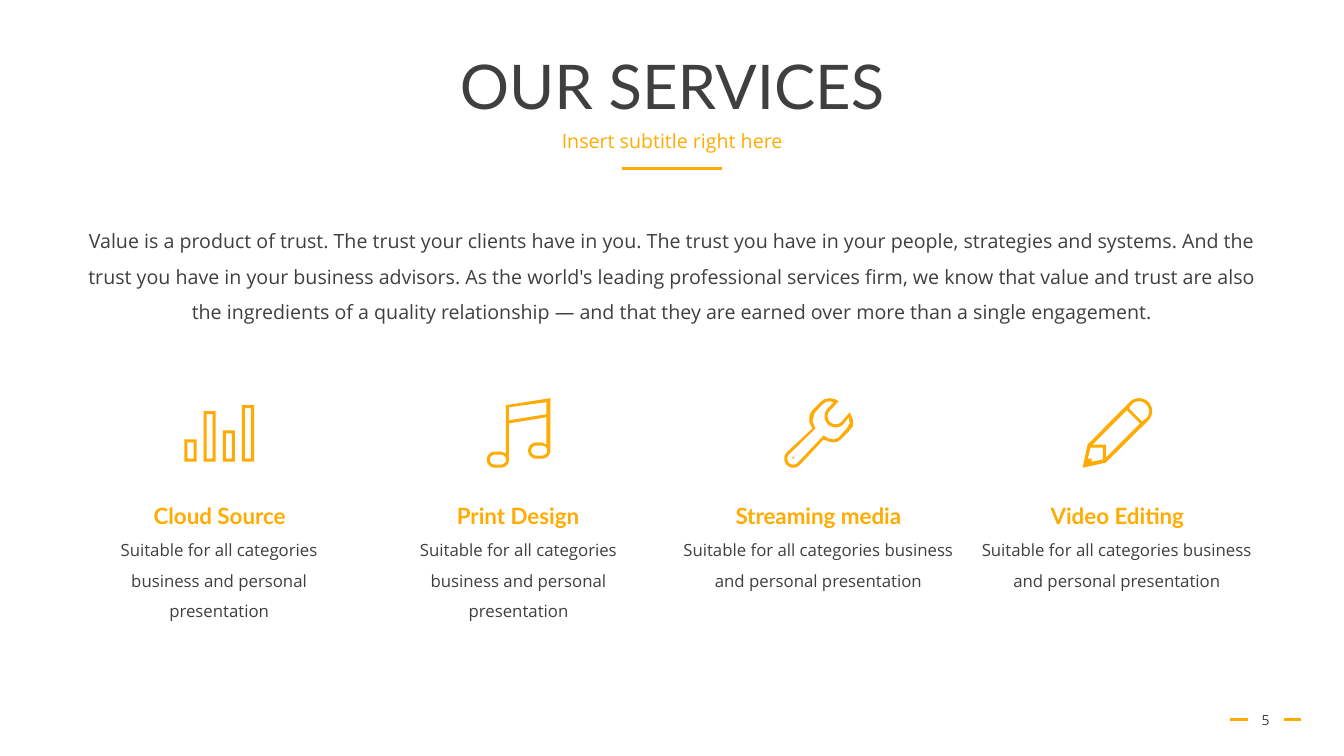
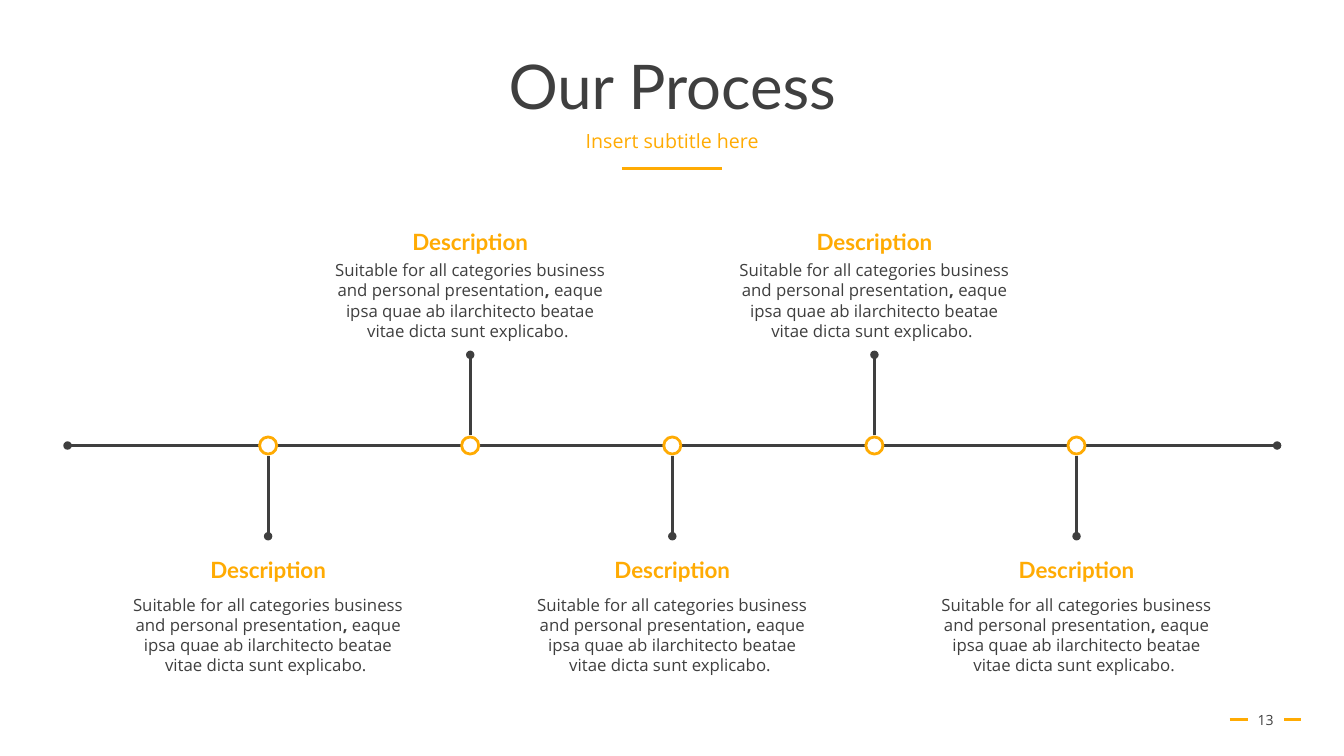
"""Build the services and process slides."""
from dataclasses import dataclass
from math import cos, radians, sin

from lxml import etree
from pptx import Presentation
from pptx.dml.color import RGBColor
from pptx.enum.shapes import MSO_CONNECTOR, MSO_SHAPE
from pptx.enum.text import MSO_ANCHOR, PP_ALIGN
from pptx.oxml.ns import qn
from pptx.slide import Slide
from pptx.text.text import Font
from pptx.util import Inches, Pt

STRAIGHT = MSO_CONNECTOR.STRAIGHT
OVAL = MSO_SHAPE.OVAL
TOP = MSO_ANCHOR.TOP
MIDDLE = MSO_ANCHOR.MIDDLE
CENTER = PP_ALIGN.CENTER
COLORS = {"gold": "FFAB03", "dark": "3F3F3F", "white": "FFFFFF"}

Point = tuple[float, float]
Path = list[Point]
Box = tuple[float, float, float, float]


@dataclass(frozen=True)
class Style:
    face: str
    size: float
    color: str
    bold: bool = False
    space: float = 1.0
    before: float = 0
    anchor: MSO_ANCHOR = TOP


@dataclass(frozen=True)
class Service:
    name: str
    left: float
    width: float
    text_left: float
    text_width: float
    icon: list[Path]


TITLE = Style("Lato", 44, "dark", space=0.9, anchor=MIDDLE)
SUBTITLE = Style("Open Sans", 14, "gold", space=0.9, before=10)
NUMBER = Style("Open Sans", 10, "dark", anchor=MIDDLE)
HEAD = Style("Lato", 16, "gold", bold=True)
INTRO = Style("Open Sans", 14, "dark", space=1.5)
BODY = Style("Open Sans", 12, "dark", space=1.5)
NOTE = Style("Open Sans", 12, "dark")


def rgb(name: str) -> RGBColor:
    return RGBColor.from_string(COLORS[name])


def set_font(font: Font, style: Style) -> None:
    font.name = style.face
    font.size = Pt(style.size)
    font.bold = style.bold
    font.color.rgb = rgb(style.color)


def add_text(slide: Slide, box: Box, runs: list[str], style: Style,
             wrap: bool = True) -> None:
    frame = slide.shapes.add_textbox(*map(Inches, box)).text_frame
    frame.word_wrap = wrap
    frame.vertical_anchor = style.anchor
    para = frame.paragraphs[0]
    para.alignment = CENTER
    para.line_spacing = style.space
    para.space_before = Pt(style.before)
    set_font(para.font, style)
    for words in runs:
        run = para.add_run()
        run.text = words
        if words == ",":
            run.font.bold = True


def add_line(slide: Slide, start: Point, end: Point, color: str,
             width: float, ends: tuple[str, ...] = ()) -> None:
    line = slide.shapes.add_connector(STRAIGHT, *map(Inches, start + end))
    line.line.color.rgb = rgb(color)
    line.line.width = Pt(width)
    props = line.element.spPr
    for tag in ends:
        etree.SubElement(props.find(qn("a:ln")), qn(tag), type="oval")
    etree.SubElement(props, qn("a:effectLst"))


def add_icon(slide: Slide, paths: list[Path]) -> None:
    first, *rest = [[(Inches(x), Inches(y)) for x, y in path]
                    for path in paths]
    pen = slide.shapes.build_freeform(*first[0])
    pen.add_line_segments(first[1:], close=True)
    for path in rest:
        pen.move_to(*path[0])
        pen.add_line_segments(path[1:], close=True)
    shape = pen.convert_to_shape()
    shape.shadow.inherit = False
    shape.fill.solid()
    shape.fill.fore_color.rgb = rgb("gold")
    shape.line.fill.background()


def arc(x: float, y: float, radius: float, start: float, end: float) -> Path:
    steps = 16
    turns = [radians(start + (end - start) * i / steps)
             for i in range(steps + 1)]
    return [(x + radius * cos(t), y + radius * sin(t)) for t in turns]


def pill(left: float, right: float, y: float, radius: float) -> Path:
    return arc(left, y, radius, 270, 90) + arc(right, y, radius, 90, -90)


def rect(left: float, top: float, right: float, bottom: float) -> Path:
    return [(left, top), (right, top), (right, bottom), (left, bottom)]


def bars() -> list[Path]:
    paths = []
    wall = 0.03
    for i, top in enumerate((4.36, 4.08, 4.27, 4.02)):
        left = 1.83 + 0.19 * i
        right = left + 0.12
        paths.append(rect(left, top, right, 4.58))
        paths.append(rect(left + wall, top + wall, right - wall, 4.58 - wall))
    return paths


def music() -> list[Path]:
    outer = [(5.46, 3.95), (5.02, 4.02), (5.02, 4.5), (4.97, 4.48),
             *arc(4.91, 4.56, 0.08, 270, 90),
             *arc(4.97, 4.56, 0.08, 90, 0),
             (5.05, 4.2), (5.42, 4.14), (5.42, 4.41), (5.38, 4.39),
             *arc(5.32, 4.47, 0.08, 270, 90),
             *arc(5.38, 4.47, 0.08, 90, 0)]
    flag = [(5.42, 4.11), (5.05, 4.17), (5.05, 4.04), (5.42, 3.99)]
    return [outer, flag, pill(4.91, 4.97, 4.56, 0.05),
            pill(5.32, 5.38, 4.47, 0.05)]


def wrench() -> list[Path]:
    outer = [(8.43, 4.09), (8.46, 4.16), (8.46, 4.23), (8.42, 4.28),
             (8.34, 4.36), (8.31, 4.38), (8.27, 4.39), (8.22, 4.38),
             (8.17, 4.36), *arc(7.87, 4.55, 0.09, 45, 230),
             (8.06, 4.25), (8.03, 4.19), (8.03, 4.12), (8.06, 4.07),
             (8.14, 3.99), (8.18, 3.96), (8.23, 3.95), (8.28, 3.96),
             (8.32, 3.98), *arc(8.29, 4.13, 0.08, 225, 45)]
    inner = [(8.27, 3.99), *arc(8.29, 4.13, 0.11, 225, 45),
             (8.42, 4.14), (8.43, 4.2), (8.4, 4.25), (8.32, 4.34),
             (8.27, 4.36), (8.22, 4.35), (8.17, 4.32),
             *arc(7.87, 4.55, 0.06, 45, 230),
             (8.09, 4.25), (8.06, 4.18), (8.08, 4.1), (8.16, 4.01),
             (8.19, 3.99), (8.23, 3.98)]
    return [outer, inner, arc(7.87, 4.54, 0.01, 0, 360)]


def pencil() -> list[Path]:
    outer = [*arc(11.3, 4.08, 0.13, 225, 405),
             (10.97, 4.59), (10.74, 4.64), (10.79, 4.41)]
    tip = [(10.94, 4.56), (10.83, 4.58), (10.83, 4.55), (10.79, 4.55),
           (10.82, 4.44), (10.94, 4.44)]
    body = [(10.97, 4.54), (10.97, 4.41), (10.84, 4.41), (11.18, 4.07),
            (11.31, 4.2)]
    cap = [(11.33, 4.18), (11.2, 4.05), *arc(11.3, 4.08, 0.1, 225, 405)]
    return [outer, tip, body, cap]


def add_frame(slide: Slide, title: str, sub: str, page: int) -> None:
    for left, right, y in ((6.17, 7.16, 1.67), (12.2, 12.38, 7.14),
                           (12.74, 12.91, 7.14)):
        add_line(slide, (left, y), (right, y), "gold", 1.75)
    add_text(slide, (0.92, 0.4, 11.5, 0.98), [title], TITLE)
    add_text(slide, (0.92, 1.26, 11.5, 0.4), [sub], SUBTITLE)
    add_text(slide, (12.26, 6.94, 0.59, 0.4), [str(page)], NUMBER)


def add_services(slide: Slide) -> None:
    add_frame(slide, "OUR SERVICES", "Insert subtitle right here", 5)
    claim = "Suitable for all categories business and personal presentation"
    services = (
        Service("Cloud Source", 1.41, 1.54, 0.81, 2.73, bars()),
        Service("Print Design", 4.42, 1.44, 3.81, 2.67, music()),
        Service("Streaming media", 7.18, 1.88, 6.68, 2.88, wrench()),
        Service("Video Editing", 10.31, 1.55, 9.64, 2.88, pencil()),
    )
    for item in services:
        add_text(slide, (item.left, 4.93, item.width, 0.37), [item.name],
                 HEAD, wrap=False)
        add_text(slide, (item.text_left, 5.21, item.text_width, 1.01),
                 [claim], BODY)
        add_icon(slide, item.icon)
    intro = (
        "Value is a product of trust. The trust your clients have in you. "
        "The trust you have in your people, strategies and systems. And the "
        "trust you have in your business advisors. As the world's leading "
        "professional services firm, we know that value and trust are also "
        "the ingredients of a quality relationship \u2014 and that they are "
        "earned over more than a single engagement."
    )
    add_text(slide, (0.7, 2.11, 11.94, 1.39), [intro], INTRO)


def add_dot(slide: Slide, x: float, y: float) -> None:
    size = 0.17
    box = (x - size / 2, y - size / 2, size, size)
    dot = slide.shapes.add_shape(OVAL, *map(Inches, box))
    dot.shadow.inherit = False
    dot.fill.solid()
    dot.fill.fore_color.rgb = rgb("white")
    dot.line.color.rgb = rgb("gold")
    dot.line.width = Pt(2)


def add_process(slide: Slide) -> None:
    add_frame(slide, "Our Process", "Insert subtitle here", 13)
    axis = 4.42
    add_line(slide, (0.67, axis), (12.67, axis), "dark", 2,
             ("a:headEnd", "a:tailEnd"))
    note = ["Suitable for all categories business and personal presentation",
            ",",
            " eaque ipsa quae ab ilarchitecto beatae vitae dicta sunt "
            "explicabo. "]
    first, last, count = 2.66, 10.68, 5
    pitch = (last - first) / (count - 1)
    for i in range(count):
        x = first + pitch * i
        below = i % 2 == 0
        near, far = (0.1, 0.9) if below else (-0.1, -0.9)
        head_top, note_top = (5.47, 5.85) if below else (2.21, 2.53)
        add_dot(slide, x, axis)
        add_line(slide, (x, axis + near), (x, axis + far), "dark", 2,
                 ("a:tailEnd",))
        add_text(slide, (x - 1.46, note_top, 2.92, 0.91), note, NOTE)
        add_text(slide, (x - 1.14, head_top, 2.28, 0.37), ["Description"],
                 HEAD)


def main() -> None:
    deck = Presentation()
    deck.slide_height = Inches(7.5)
    deck.slide_width = Inches(7.5 * 16 / 9)
    blank = deck.slide_layouts[6]
    for draw in (add_services, add_process):
        draw(deck.slides.add_slide(blank))
    deck.save("out.pptx")


main()
